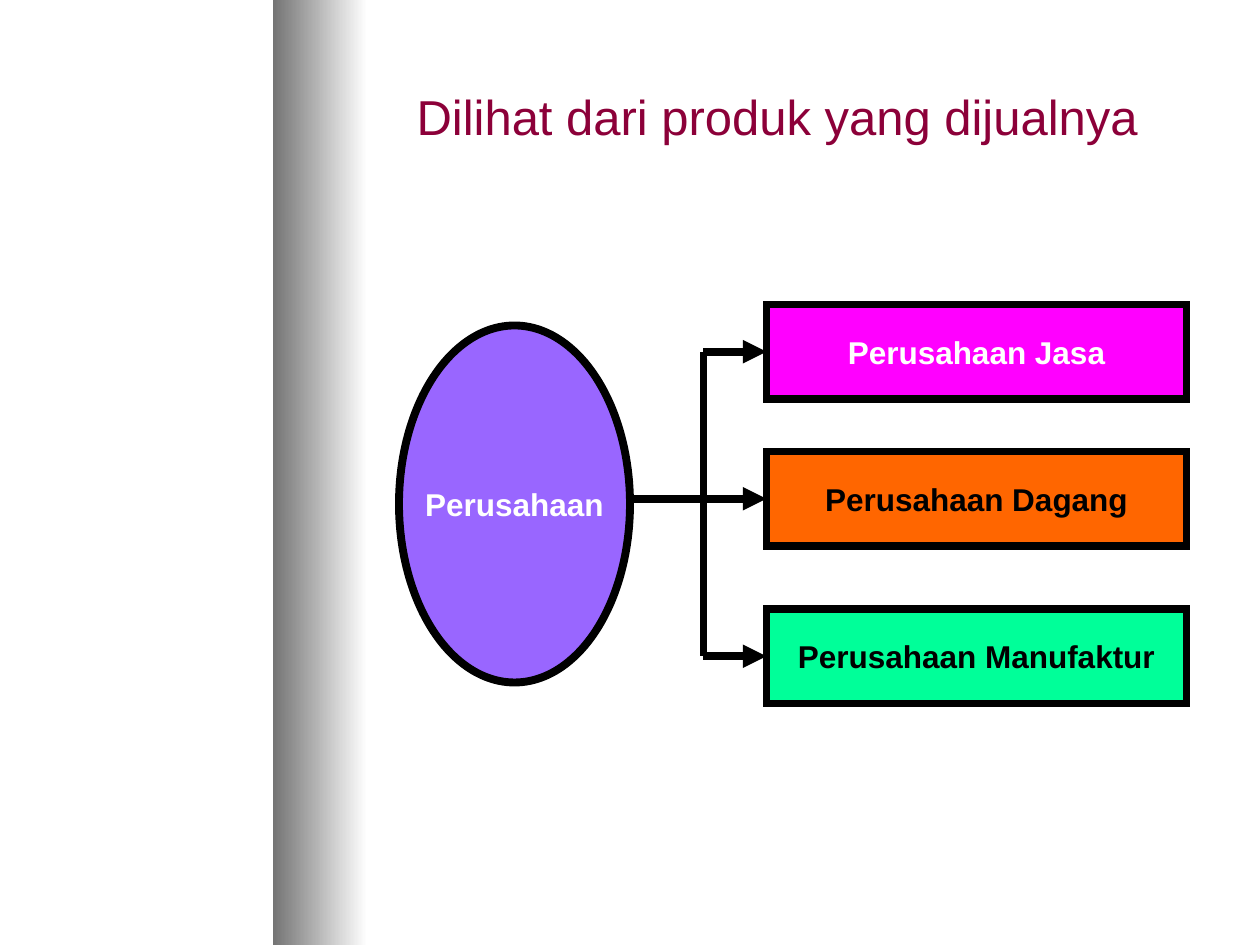
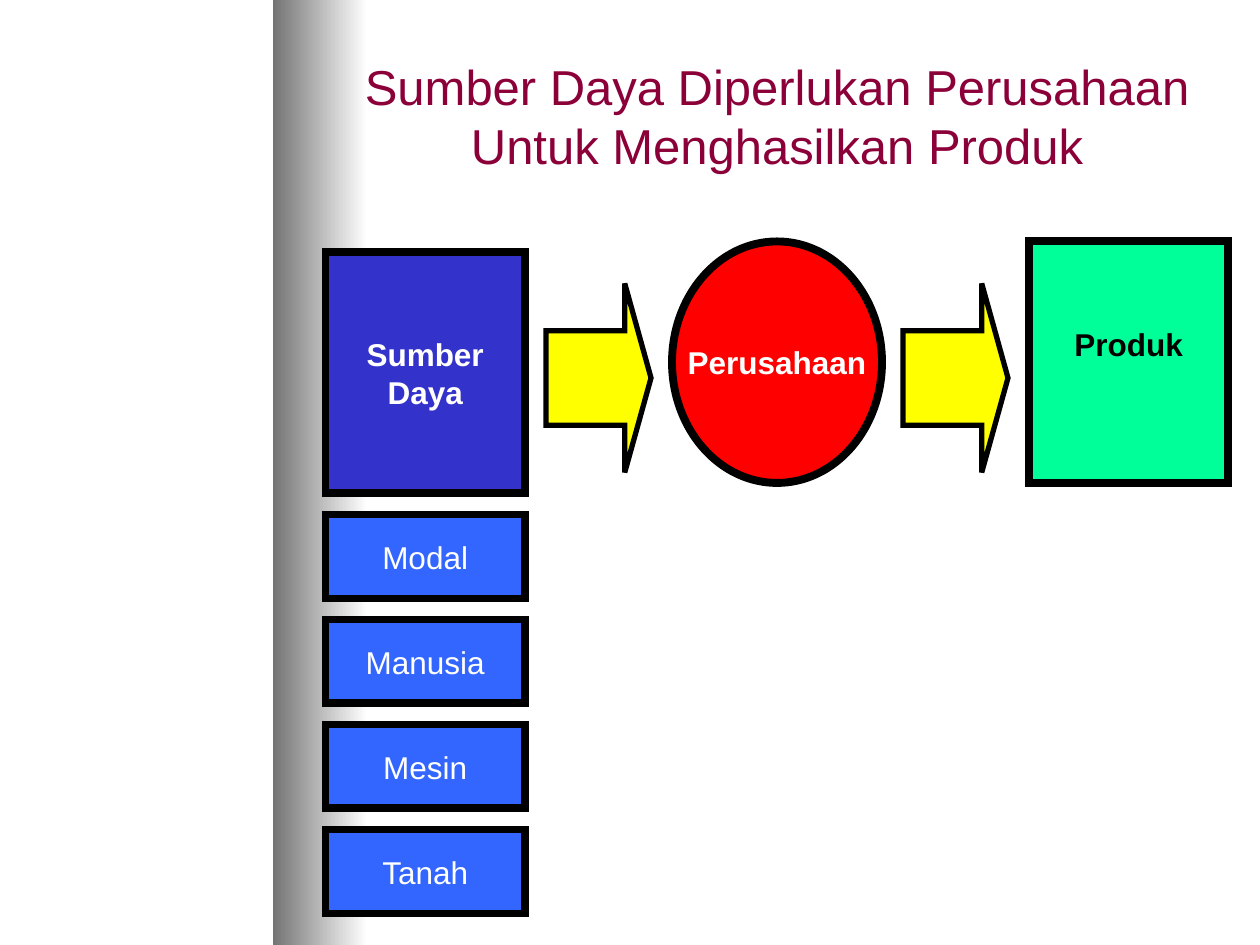
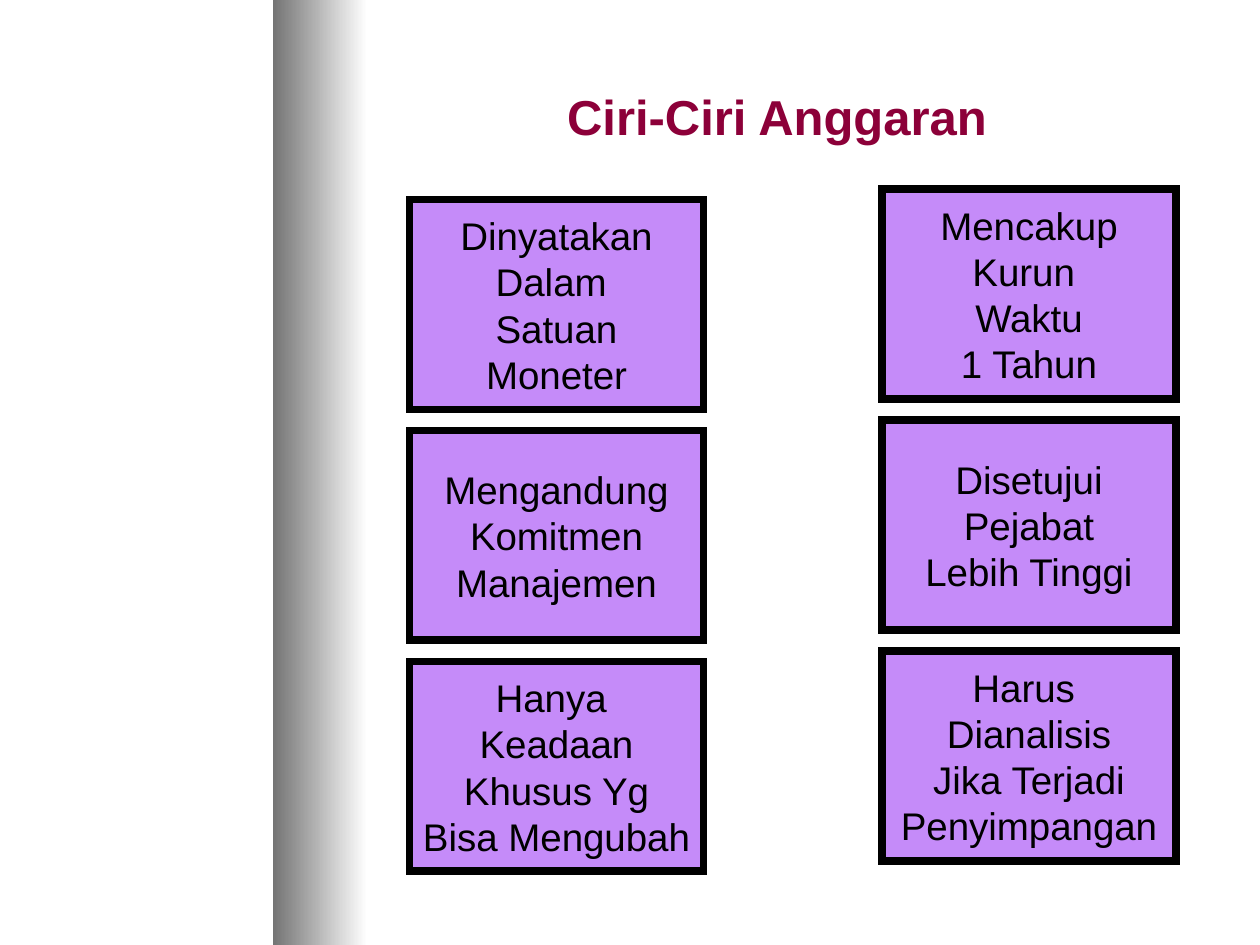
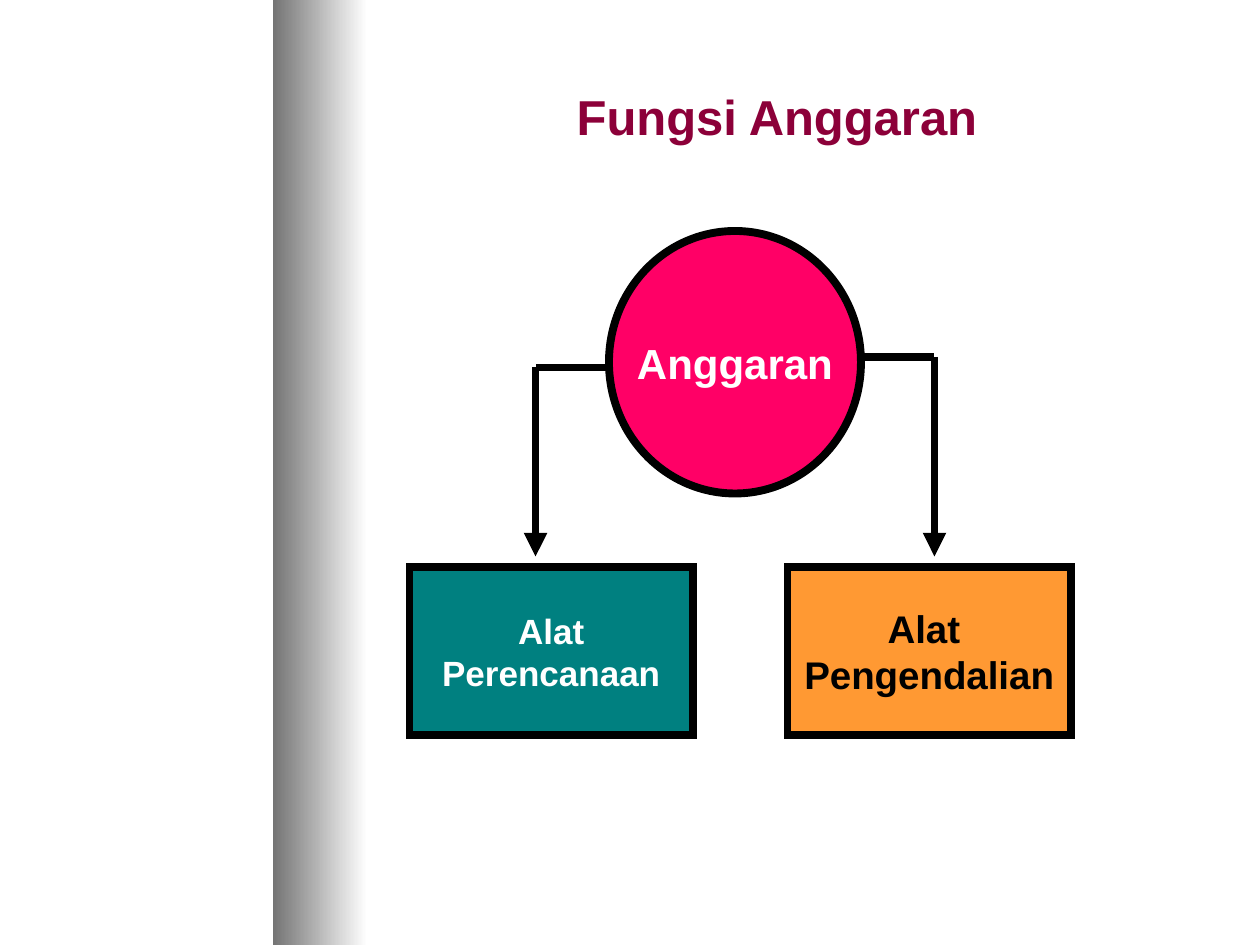
import collections

import pptx
import pptx.dml.color
import pptx.enum.shapes
import pptx.enum.text
import pptx.oxml
import pptx.oxml.ns
import pptx.util

RGB = pptx.dml.color.RGBColor
SHAPE = pptx.enum.shapes.MSO_SHAPE
Box = collections.namedtuple("Box", "left top width height")

FONT = "Arial"
BLACK = RGB(0x00, 0x00, 0x00)
WHITE = RGB(0xFF, 0xFF, 0xFF)
GREY = RGB(0x74, 0x74, 0x74)
MAROON = RGB(0x8C, 0x00, 0x39)
VIOLET = RGB(0x99, 0x66, 0xFF)
MAGENTA = RGB(0xFF, 0x00, 0xFF)
ORANGE = RGB(0xFF, 0x66, 0x00)
MINT = RGB(0x00, 0xFF, 0x99)
RED = RGB(0xFF, 0x00, 0x00)
NAVY = RGB(0x33, 0x33, 0xCC)
BLUE = RGB(0x33, 0x66, 0xFF)
YELLOW = RGB(0xFF, 0xFF, 0x00)
LILAC = RGB(0xC5, 0x8B, 0xF9)
PINK = RGB(0xFF, 0x00, 0x66)
TEAL = RGB(0x00, 0x80, 0x80)
AMBER = RGB(0xFF, 0x99, 0x33)

# Every place and size is counted in steps; the page is 120 by 90 of them
STEPS_PER_INCH = 12
PAGE = Box(0, 0, 120, 90)
BAND = Box(26, 0, 9, 90)
TITLE = Box(32, 3, 84, 16)


def steps(count):
    return pptx.util.Cm(2.54 * count / STEPS_PER_INCH)


def within(frame, left, top, width, height):
    """Place a box by its offset from the frame's corner."""
    return Box(frame.left + left, frame.top + top, width, height)


def write(shape, text, size=18, color=WHITE, bold=False, wrap=False):
    """Write centred text, one paragraph for each line."""
    text_frame = shape.text_frame
    text_frame.word_wrap = wrap
    text_frame.vertical_anchor = pptx.enum.text.MSO_ANCHOR.MIDDLE
    for index, line in enumerate(text.split("\n")):
        para = text_frame.paragraphs[0] if index == 0 else text_frame.add_paragraph()
        para.alignment = pptx.enum.text.PP_ALIGN.CENTER
        span = para.add_run()
        span.text = line
        span.font.name = FONT
        span.font.size = pptx.util.Pt(size)
        span.font.bold = bold
        span.font.color.rgb = color


def add_element(parent, tag, **attributes):
    element = pptx.oxml.parse_xml(f"<a:{tag} {pptx.oxml.ns.nsdecls('a')}/>")
    for name, value in attributes.items():
        element.set(name, value)
    parent.append(element)


def add_figure(page, kind, box, fill, text="", line_width=4.5, **format):
    """Add a filled, black-edged shape with an optional label."""
    shape = page.shapes.add_shape(kind, *map(steps, box))
    shape.shadow.inherit = False
    shape.fill.solid()
    shape.fill.fore_color.rgb = fill
    shape.line.color.rgb = BLACK
    shape.line.width = pptx.util.Pt(line_width)
    add_element(shape.line._get_or_add_ln(), "miter", lim="800000")
    if text:
        write(shape, text, **format)
    return shape


def add_line(page, frame, start, end, arrow=False):
    """Join two points given as offsets from the frame's corner."""
    ends = [steps(base + offset) for point in (start, end)
            for base, offset in zip(frame[:2], point)]
    line = page.shapes.add_connector(
        pptx.enum.shapes.MSO_CONNECTOR.STRAIGHT, *ends)
    line.line.color.rgb = BLACK
    line.line.width = pptx.util.Pt(4.5)
    if arrow:
        add_element(line.line._get_or_add_ln(), "tailEnd", type="triangle")
    add_element(line._element.spPr, "effectLst")
    return line


def add_page(deck, title, bold=False):
    """Start a page with the shaded band and the title."""
    page = deck.slides.add_slide(deck.slide_layouts[6])
    band = page.shapes.add_shape(SHAPE.RECTANGLE, *map(steps, BAND))
    band.shadow.inherit = False
    band.line.fill.background()
    band.fill.gradient()
    band.fill.gradient_angle = 0
    for stop, color in zip(band.fill.gradient_stops, (GREY, WHITE)):
        stop.color.rgb = color
    heading = page.shapes.add_textbox(*map(steps, TITLE))
    write(heading, title, size=28, color=MAROON, bold=bold, wrap=True)
    return page


def add_company_tree(page, frame):
    """One company branching into three kinds."""
    kinds = [(0, "Perusahaan Jasa", MAGENTA, WHITE),
             (14, "Perusahaan Dagang", ORANGE, BLACK),
             (29, "Perusahaan Manufaktur", MINT, BLACK)]
    trunk, kind_left, kind_height = 29, 35, 9
    add_figure(page, SHAPE.OVAL, within(frame, 0, 2, 22, 34), VIOLET,
               "Perusahaan", bold=True)
    middles = [top + kind_height / 2 for top, *_ in kinds]
    add_line(page, frame, (trunk, middles[0]), (trunk, middles[-1]))
    for (top, text, fill, color), middle, start in zip(
            kinds, middles, (trunk, 22, trunk)):
        kind = add_figure(page, SHAPE.RECTANGLE,
                          within(frame, kind_left, top, 40, kind_height),
                          fill, text, color=color, bold=True)
        branch = add_line(page, frame, (start, middle), (kind_left, middle),
                          arrow=True)
        branch.end_connect(kind, 1)


def add_production_flow(page, frame):
    """Resources, company and product from left to right."""
    add_figure(page, SHAPE.RECTANGLE, within(frame, 0, 1, 19, 23), NAVY,
               "Sumber\nDaya", bold=True)
    add_figure(page, SHAPE.OVAL, within(frame, 33, 0, 20, 23), RED,
               "Perusahaan", bold=True)
    product = add_figure(page, SHAPE.RECTANGLE, within(frame, 67, 0, 19, 23),
                         MINT, "Produk", color=BLACK, bold=True)
    # The label sits half a line above the middle
    product.text_frame.margin_bottom = pptx.util.Cm(0.86)
    for left in (21, 55):
        arrow = add_figure(page, SHAPE.RIGHT_ARROW,
                           within(frame, left, 4, 10, 18), YELLOW, line_width=3)
        arrow.adjustments[1] = 0.25
    # Kinds of resources
    for row, text in enumerate(("Modal", "Manusia", "Mesin", "Tanah")):
        add_figure(page, SHAPE.RECTANGLE,
                   within(frame, 0, 26 + 10 * row, 19, 8), BLUE, text)


def add_trait_grid(page, frame):
    """Two columns of traits, the right one a step higher."""
    columns = [
        (0, 1, ("Dinyatakan\nDalam \nSatuan\nMoneter",
                "Mengandung\nKomitmen\nManajemen",
                "Hanya \nKeadaan\nKhusus Yg\nBisa Mengubah")),
        (45, 0, ("Mencakup\nKurun \nWaktu\n1 Tahun",
                 "Disetujui\nPejabat\nLebih Tinggi",
                 "Harus \nDianalisis\nJika Terjadi\nPenyimpangan")),
    ]
    for left, top, traits in columns:
        for row, text in enumerate(traits):
            add_figure(page, SHAPE.RECTANGLE,
                       within(frame, left, top + 22 * row, 28, 20), LILAC,
                       text, size=22, color=BLACK)


def add_budget_roles(page, frame):
    """The budget above its two roles."""
    add_figure(page, SHAPE.OVAL, within(frame, 19, 0, 24, 25), PINK,
               "Anggaran", size=24, bold=True)
    add_figure(page, SHAPE.RECTANGLE, within(frame, 0, 32, 27, 16), TEAL,
               "Alat\nPerencanaan", size=20, bold=True)
    add_figure(page, SHAPE.RECTANGLE, within(frame, 36, 32, 27, 16), AMBER,
               "Alat \nPengendalian", size=22, color=BLACK, bold=True)
    for edge, corner, height in ((19, 12, 13), (43, 50, 12)):
        add_line(page, frame, (edge, height), (corner, height))
        add_line(page, frame, (corner, height), (corner, 31), arrow=True)


def main():
    deck = pptx.Presentation()
    deck.slide_width = steps(PAGE.width)
    deck.slide_height = steps(PAGE.height)

    add_company_tree(add_page(deck, "Dilihat dari produk yang dijualnya"),
                     Box(38, 29, 75, 38))
    add_production_flow(
        add_page(deck, "Sumber Daya Diperlukan Perusahaan Untuk Menghasilkan Produk"),
        Box(31, 23, 86, 64))
    add_trait_grid(add_page(deck, "Ciri-Ciri Anggaran", bold=True),
                   Box(39, 18, 73, 65))
    add_budget_roles(add_page(deck, "Fungsi Anggaran", bold=True),
                     Box(39, 22, 63, 48))
    deck.save("out.pptx")


if __name__ == "__main__":
    main()
